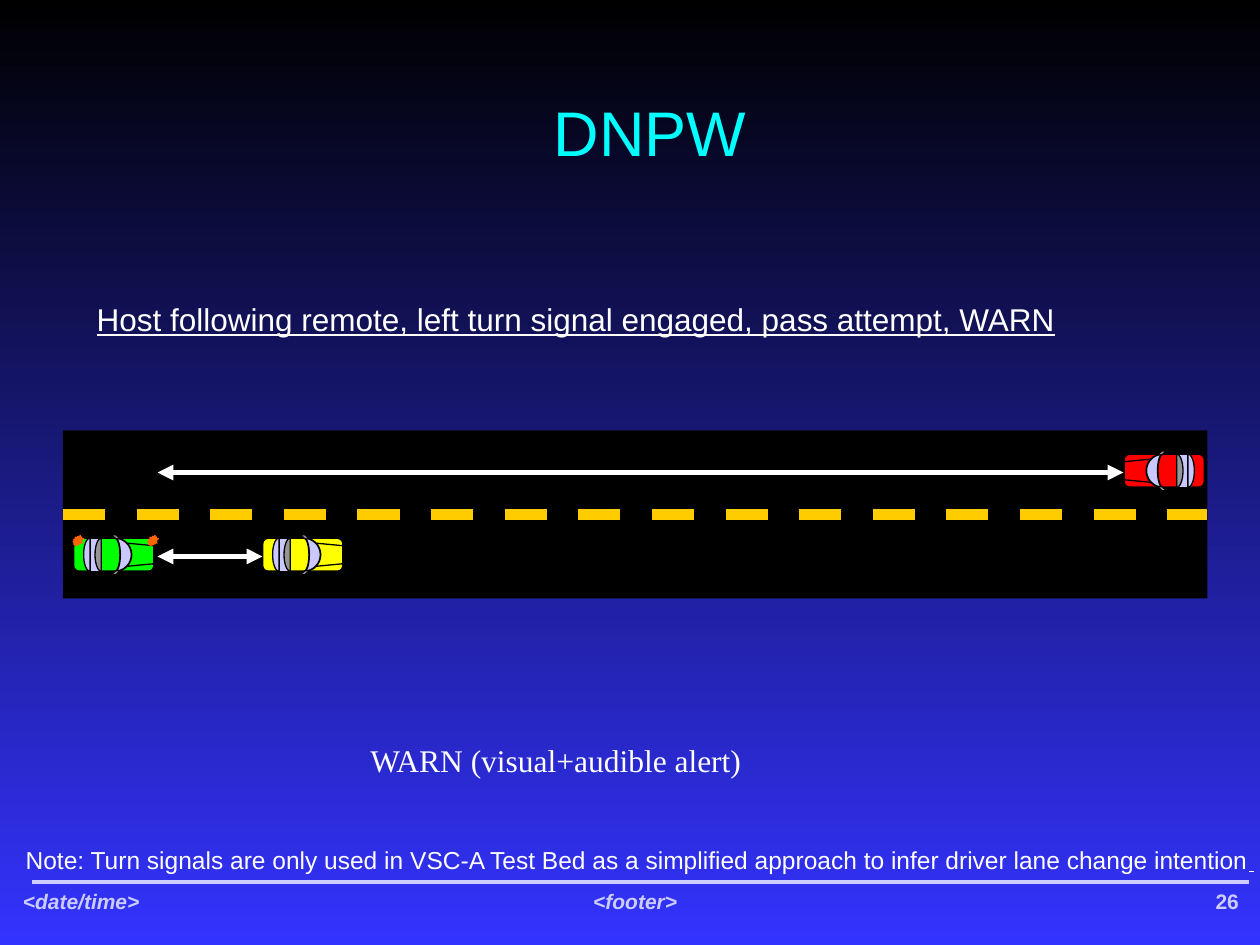
from dataclasses import dataclass
from math import cos, pi, sin

from lxml import etree
from pptx import Presentation
from pptx.dml.color import RGBColor
from pptx.enum import dml, shapes, text
from pptx.oxml.ns import qn
from pptx.util import Pt

WHITE, BLACK, PALE, GLASS, GREY = "FFFFFF", "000000", "CCCCFF", "C9C9FF", "969696"
ORANGE = "FF6600"
SHAPE, ALIGN = shapes.MSO_SHAPE, text.PP_ALIGN
CAR_LENGTH, CAR_WIDTH = 46, 19


@dataclass
class Car:
    rear: float  # x of the rear bumper
    top: float
    color: str
    facing: int = 1  # 1 drives right, -1 drives left
    signalling: bool = False


@dataclass
class Label:
    wording: str
    box: tuple
    size: float
    color: str = WHITE
    font: str = "Arial"
    align: text.PP_ALIGN = ALIGN.LEFT
    bold: bool = False
    italic: bool = False
    underline: bool = False
    wrap: bool = False


def rgb(code: str) -> RGBColor:
    return RGBColor.from_string(code)


def write(paragraph, wording: str, *, size, color=WHITE, font="Arial",
          bold=False, italic=False, underline=False) -> None:
    run = paragraph.add_run()
    run.text = wording
    run.font.size, run.font.name = Pt(size), font
    run.font.bold, run.font.italic, run.font.underline = bold, italic, underline
    run.font.color.rgb = rgb(color)


def draw_label(canvas, label: Label):
    frame = canvas.add_textbox(*map(Pt, label.box)).text_frame
    frame.word_wrap = label.wrap
    paragraph = frame.paragraphs[0]
    paragraph.alignment = label.align
    write(paragraph, label.wording, size=label.size, color=label.color,
          font=label.font, bold=label.bold, italic=label.italic,
          underline=label.underline)
    return paragraph


def paint(shape, fill: str, line: str = "", width: float = 0.75) -> None:
    shape.shadow.inherit = False
    shape.fill.solid()
    shape.fill.fore_color.rgb = rgb(fill)
    if line:
        shape.line.color.rgb, shape.line.width = rgb(line), Pt(width)
    else:
        shape.line.fill.background()


def draw_line(canvas, start: tuple, end: tuple, color: str, width: float,
              arrows: bool = False, dashed: bool = False) -> None:
    line = canvas.add_connector(shapes.MSO_CONNECTOR.STRAIGHT,
                                *map(Pt, (*start, *end)))
    line.line.color.rgb, line.line.width = rgb(color), Pt(width)
    if dashed:
        line.line.dash_style = dml.MSO_LINE.DASH
    properties = line._element.spPr
    if arrows:
        for tip in ("a:headEnd", "a:tailEnd"):
            etree.SubElement(properties.find(qn("a:ln")), qn(tip), type="triangle")
    etree.SubElement(properties, qn("a:effectLst"))


def bow(x: float, depth: float, steps: int = 16) -> list:
    """Half ellipse across the car, from its upper to its lower side."""
    half = CAR_WIDTH / 2
    return [(x + depth * sin(pi * i / steps), half - half * cos(pi * i / steps))
            for i in range(steps + 1)]


def draw_car(canvas, car: Car) -> None:
    parts = canvas.add_group_shape().shapes

    def place(x: float, y: float) -> tuple:
        return car.rear + car.facing * x, car.top + y

    def block(kind, x, y, width, height, fill, line="", weight=0.75):
        left = min(place(x, y)[0], place(x + width, y)[0])
        shape = parts.add_shape(kind, *map(Pt, (left, car.top + y, width, height)))
        paint(shape, fill, line, weight)
        return shape

    def pane(points, fill, weight=0.75):
        corners = [tuple(int(Pt(v)) for v in place(*point)) for point in points]
        builder = parts.build_freeform(*corners[0], scale=1.0)
        builder.add_line_segments(corners[1:], close=True)
        paint(builder.convert_to_shape(), fill, BLACK, weight)

    # Body, windshield, roof end and rear windows
    block(SHAPE.ROUNDED_RECTANGLE, 0, 0, CAR_LENGTH, CAR_WIDTH, car.color, BLACK, 1)
    pane(bow(23.8, 9.4) + bow(23.8, 2.9)[::-1], GLASS, 1)
    block(SHAPE.RECTANGLE, 9.4, 0, 6.5, CAR_WIDTH, GLASS, BLACK)
    pane(bow(15.9, -3.6), GREY)
    pane(bow(9.4, -3.6), GLASS)

    # Bonnet creases and side mirrors, one per side
    for front, back in ((4.3, 2.9), (CAR_WIDTH - 4.3, CAR_WIDTH - 2.9)):
        draw_line(parts, place(45.4, front), place(30.8, back), BLACK, 0.75)
    for y, flipped in ((-1.5, car.facing > 0), (CAR_WIDTH, car.facing < 0)):
        mirror = block(SHAPE.PARALLELOGRAM, 22.8, y, 2.9, 1.5, GREY)
        mirror.adjustments[0] = 1.13
        if flipped:
            mirror._element.spPr.find(qn("a:xfrm")).set("flipV", "1")

    # Left turn signal, rear and front
    if car.signalling:
        for x in (-0.2, 42.5):
            block(SHAPE.EXPLOSION2, x, -1.5, 6, 6, ORANGE, ORANGE)


FOOTERS = [
    Label("26", (565, 504, 150, 36), 12, PALE, align=ALIGN.RIGHT, bold=True, wrap=True),
    Label("<date/time>", (6, 504, 150, 36), 12, PALE, bold=True, italic=True, wrap=True),
    Label("<footer>", (174, 504, 378, 36), 12, PALE, align=ALIGN.CENTER,
          bold=True, italic=True, wrap=True),
]
CAPTIONS = [
    Label("Host following remote, left turn signal engaged, pass attempt, WARN",
          (48.2, 168, 562.3, 29), 18, underline=True),
    Label("WARN (visual+audible alert)", (204.5, 420, 259, 29), 18,
          font="Times New Roman"),
]
NOTE = Label("Note: Turn signals are only used in VSC-A Test Bed as a simplified "
             "approach to infer driver lane change intention",
             (6, 479.5, 719, 24.5), 14, align=ALIGN.CENTER)
CARS = [
    Car(688.3, 259.5, "FF0000", facing=-1),
    Car(150, 307.5, "FFFF00"),
    Car(42, 307.5, "00FF00", signalling=True),
]
GAPS = [((90, 318), (150, 318)), ((90, 270), (642, 270))]


def main() -> None:
    deck = Presentation()
    deck.slide_width, deck.slide_height = Pt(720), Pt(540)
    slide = deck.slides.add_slide(deck.slide_layouts[5])
    canvas = slide.shapes

    # Background, black at the top to blue
    backdrop = slide.background.fill
    backdrop.gradient()
    backdrop.gradient_angle = 270
    for stop, position, color in zip(backdrop.gradient_stops, (0, 1), (BLACK, "3333FF")):
        stop.position, stop.color.rgb = position, rgb(color)

    # Footer
    draw_line(canvas, (18, 504), (714, 504), PALE, 2.25)
    for footer in FOOTERS:
        draw_label(canvas, footer)

    # Title
    title = canvas.title
    title.left, title.top, title.width, title.height = map(Pt, (41, 30, 661, 90))
    title.text_frame.auto_size = text.MSO_AUTO_SIZE.NONE
    title.text_frame.vertical_anchor = text.MSO_ANCHOR.MIDDLE
    heading = title.text_frame.paragraphs[0]
    heading.alignment = ALIGN.CENTER
    write(heading, "DNPW", size=36, color="00FFFF")

    # Road with its centre line
    paint(canvas.add_shape(SHAPE.RECTANGLE, *map(Pt, (36, 246, 654, 96))), BLACK)
    draw_line(canvas, (36, 294), (690, 294), "FFCC00", 6, dashed=True)

    # Traffic and the distances between cars
    for car in CARS:
        draw_car(canvas, car)
    for start, end in GAPS:
        draw_line(canvas, start, end, WHITE, 3, arrows=True)

    # Captions and note
    for caption in CAPTIONS:
        draw_label(canvas, caption)
    write(draw_label(canvas, NOTE), " ", size=10, underline=True)

    deck.save("out.pptx")


if __name__ == "__main__":
    main()
